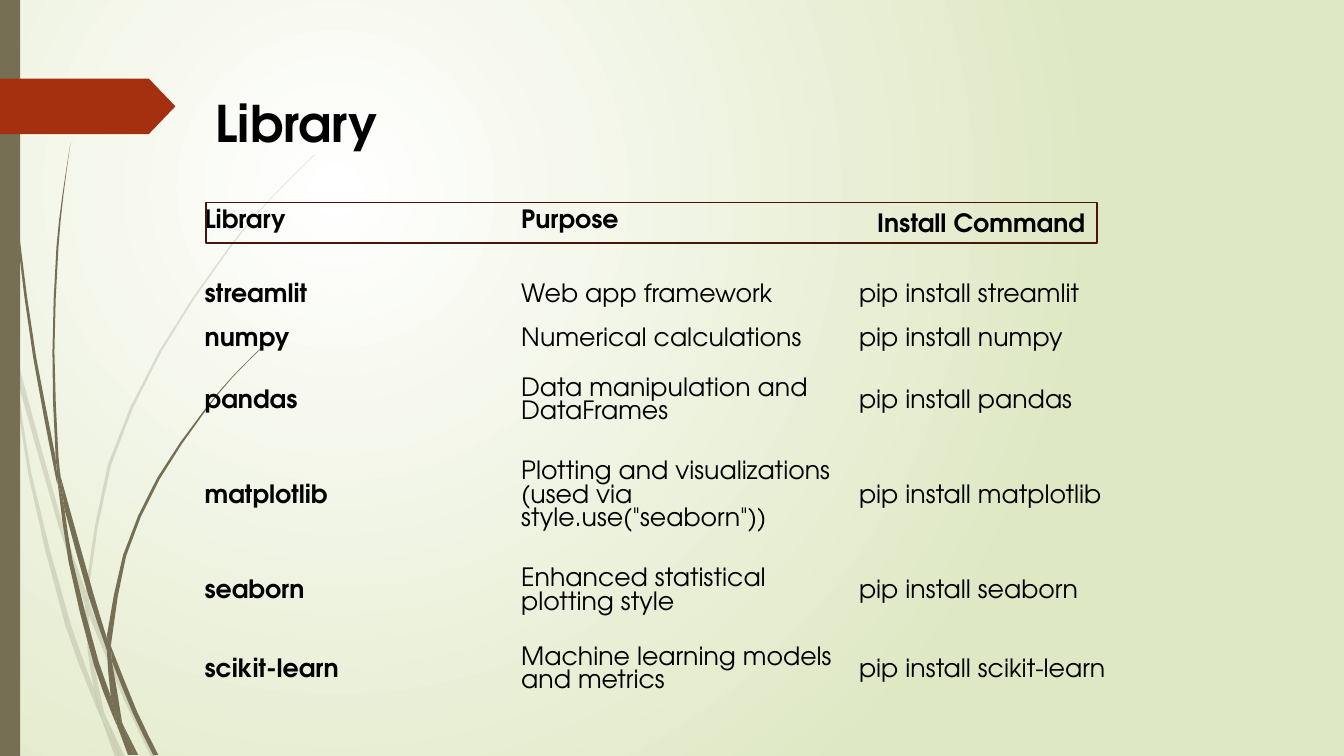
"""Build the Library slide: a table of Python packages on a grass-decorated page."""
from dataclasses import dataclass
from math import dist
from typing import Optional

from lxml.etree import SubElement
from pptx import Presentation
from pptx.dml.color import RGBColor
from pptx.enum.shapes import MSO_SHAPE as Preset
from pptx.enum.text import MSO_ANCHOR as Anchor, MSO_AUTO_SIZE as AutoSize, PP_ALIGN as Align
from pptx.oxml.ns import qn
from pptx.util import Emu, Pt

PX = 9144
FONT = "TeX Gyre Adventor"
NO_TABLE_STYLE = "{2D5ABB26-0587-4C30-8999-92F81FD0307C}"
COLORS = {"glow": "FFFFFF", "meadow": "DFE8C4", "grass": "766F54",
          "ribbon": "A53010", "frame": "481507", "text": "000000"}
Point = tuple[float, float]


@dataclass(frozen=True)
class Box:
    left: int
    top: int
    width: int
    height: int

    def emu(self) -> list[Emu]:
        return [px(n) for n in (self.left, self.top, self.width, self.height)]


@dataclass(frozen=True)
class Blade:
    right_edge: list[Point]
    left_edge: list[Point]


@dataclass(frozen=True)
class Block:
    box: Box
    preset: Preset
    fill: Optional[str] = None
    line: Optional[str] = None
    adjust: Optional[float] = None


PALE_BLADES = [
    Blade([(0, 282), (9, 322), (11, 350)], [(0, 299), (10, 344), (11, 350)]),
    Blade([(14, 345), (62, 520), (85, 586)], [(17, 376), (58, 522), (84, 599)]),
    Blade([(88, 596), (92, 607), (127, 692), (155, 751)], [(88, 610), (123, 694), (150, 751)]),
    Blade([(105, 711), (124, 751)], [(105, 711), (119, 751)]),
    Blade([(17, 376), (31, 469), (70, 619), (93, 683), (101, 714)],
          [(11, 350), (28, 470), (65, 621), (92, 693), (101, 714)]),
    Blade([(88, 610), (91, 646), (103, 706), (105, 711)],
          [(84, 599), (87, 646), (93, 683), (96, 692), (105, 711)]),
    Blade([(312, 154), (268, 198), (229, 245), (160, 349), (110, 462), (88, 584), (88, 596)],
          [(312, 153), (268, 197), (228, 244), (158, 348), (107, 461), (85, 584), (85, 586)]),
    Blade([(101, 714), (119, 751)], [(101, 714), (114, 751)]),
    Blade([(85, 586), (88, 596)], [(84, 599), (88, 610)]),
    Blade([(93, 683), (96, 692), (105, 711), (119, 751)], [(93, 683), (99, 707), (101, 714), (119, 751)]),
]
DARK_BLADES = [
    Blade([(4, 0), (5, 48), (8, 109), (19, 232), (36, 355), (55, 453), (57, 481)],
          [(3, 0), (4, 48), (7, 110), (17, 233), (33, 355), (56, 477), (57, 481)]),
    Blade([(60, 472), (93, 590), (106, 633)], [(64, 505), (88, 592), (106, 645)]),
    Blade([(110, 641), (136, 706), (157, 749)], [(111, 656), (132, 708), (152, 749)]),
    Blade([(64, 505), (72, 556), (98, 657), (110, 691), (117, 722)],
          [(57, 477), (68, 557), (93, 659), (111, 708), (117, 722)]),
    Blade([(70, 141), (63, 193), (58, 245), (54, 349), (58, 453), (60, 472)],
          [(70, 141), (62, 193), (56, 245), (52, 349), (55, 449), (60, 472)]),
    Blade([(122, 719), (137, 749)], [(122, 719), (133, 749)]),
    Blade([(55, 449), (60, 472)], [(57, 477), (64, 505)]),
    Blade([(261, 344), (231, 374), (205, 406), (158, 476), (125, 552), (111, 633), (110, 641)],
          [(260, 344), (231, 373), (204, 405), (156, 474), (122, 551), (106, 631)]),
    Blade([(117, 722), (131, 749)], [(117, 722), (127, 749)]),
    Blade([(106, 645), (111, 656), (121, 716), (122, 719)], [(106, 645), (110, 691), (116, 706), (122, 719)]),
    Blade([(106, 631), (110, 641)], [(106, 645), (111, 656)]),
    Blade([(110, 691), (116, 706), (122, 719), (133, 749)], [(110, 691), (116, 717), (117, 722), (130, 749)]),
]
STEM = Block(Box(0, 0, 20, 750), Preset.RECTANGLE, fill="grass")
RIBBON = Block(Box(0, 78, 174, 55), Preset.PENTAGON, fill="ribbon", adjust=0.48)
HEADER_FRAME = Block(Box(204, 201, 884, 40), Preset.RECTANGLE, line="frame")
TITLE_BOX = Box(204, 86, 277, 70)
COMMAND_BOX = Box(860, 201, 228, 40)
TABLE_BOX = Box(193, 193, 984, 511)
COLUMNS = [314, 335, 335]
ROWS = [78, 44, 44, 78, 111, 78, 78]
HEADINGS = ("Library", "Purpose", "")
PURPOSES = {
    "streamlit": "Web app framework",
    "numpy": "Numerical calculations",
    "pandas": "Data manipulation and DataFrames",
    "matplotlib": 'Plotting and visualizations (used via style.use("seaborn"))',
    "seaborn": "Enhanced statistical plotting style",
    "scikit-learn": "Machine learning models and metrics",
}


def px(value: float) -> Emu:
    return Emu(round(value * PX))


def color(name: str) -> RGBColor:
    return RGBColor.from_string(COLORS[name])


def add_span(para, text: str, size: int, bold: bool) -> None:
    span = para.add_run()
    span.text = text
    span.font.name, span.font.size, span.font.bold = FONT, Pt(size), bold
    span.font.color.rgb = color("text")


def paint_background(page) -> None:
    fill = page.background.fill
    fill.gradient()
    for position, (stop, name) in enumerate(zip(fill.gradient_stops, ("glow", "meadow"))):
        stop.color.rgb = color(name)
        stop.position = position
    gradient = page._element.find(".//" + qn("a:gradFill"))
    gradient.remove(gradient.find(qn("a:lin")))
    circle = SubElement(gradient, qn("a:path"), {"path": "circle"})
    SubElement(circle, qn("a:fillToRect"), dict(l="50000", t="50000", r="100000", b="100000"))


def smooth(points: list[Point]) -> list[Point]:
    padded = [points[0], *points, points[-1]]
    slopes = []
    for before, here, after in zip(padded, padded[1:], padded[2:]):
        chord = dist(before, here) + dist(here, after)
        slopes.append([(b - a) / chord for a, b in zip(before, after)])
    curve = [points[0]]
    for start, end, leave, arrive in zip(points, points[1:], slopes, slopes[1:]):
        bend = dist(start, end) / 8
        curve.append(tuple((a + b) / 2 + bend * (m - n) for a, b, m, n in zip(start, end, leave, arrive)))
        curve.append(end)
    return curve


def add_blade(page, blade: Blade, opacity: int) -> None:
    outline = smooth(blade.left_edge) + smooth(blade.right_edge)[::-1]
    corners = [(px(x), px(y)) for x, y in outline]
    builder = page.shapes.build_freeform(*corners[0], scale=1.0)
    builder.add_line_segments(corners[1:], close=True)
    shape = builder.convert_to_shape()
    paint(shape, "grass", None)
    if opacity < 100:
        tint = shape._element.spPr.find(".//" + qn("a:srgbClr"))
        SubElement(tint, qn("a:alpha"), val=str(opacity * 1000))


def paint(shape, fill: Optional[str], line: Optional[str]) -> None:
    shape.shadow.inherit = False
    for part, name in ((shape.fill, fill), (shape.line.fill, line)):
        if name:
            part.solid()
            part.fore_color.rgb = color(name)
        else:
            part.background()


def add_block(page, block: Block) -> None:
    shape = page.shapes.add_shape(block.preset, *block.box.emu())
    paint(shape, block.fill, block.line)
    if block.adjust is not None:
        shape.adjustments[0] = block.adjust
    if block.line:
        shape.line.width = Pt(1.25)


def place_title(page) -> None:
    title = page.shapes.title
    title.left, title.top, title.width, title.height = TITLE_BOX.emu()
    title.text_frame.vertical_anchor = Anchor.TOP
    title.text_frame.auto_size = AutoSize.NONE
    para = title.text_frame.paragraphs[0]
    para.alignment = Align.LEFT
    add_span(para, "Library", 36, True)
    page.shapes._spTree.append(title._element)


def add_library_table(page) -> None:
    table = page.shapes.add_table(len(ROWS), len(COLUMNS), *TABLE_BOX.emu()).table
    table.first_row = table.horz_banding = False
    table._tbl.tblPr.find(qn("a:tableStyleId")).text = NO_TABLE_STYLE
    for column, width in zip(table.columns, COLUMNS):
        column.width = px(width)
    for row, height in zip(table.rows, ROWS):
        row.height = px(height)
    libraries = [(name, purpose, f"pip install {name}") for name, purpose in PURPOSES.items()]
    for i, texts in enumerate([HEADINGS, *libraries]):
        for j, text in enumerate(texts):
            cell = table.cell(i, j)
            cell.fill.background()
            cell.vertical_anchor = Anchor.MIDDLE
            cell.margin_bottom = px(5 if i else 29)
            if text:
                para = cell.text_frame.paragraphs[0]
                para.line_spacing = Pt(16.8)
                add_span(para, text, 18, i == 0 or j == 0)


def main() -> None:
    deck = Presentation()
    deck.slide_width, deck.slide_height = px(1333), px(750)
    page = deck.slides.add_slide(deck.slide_layouts[5])
    paint_background(page)
    for blades, opacity in ((PALE_BLADES, 20), (DARK_BLADES, 100)):
        for blade in blades:
            add_blade(page, blade, opacity)
    add_block(page, STEM)
    add_block(page, RIBBON)
    place_title(page)
    add_library_table(page)
    heading = page.shapes.add_textbox(*COMMAND_BOX.emu())
    heading.text_frame.word_wrap = False
    add_span(heading.text_frame.paragraphs[0], "Install Command", 18, True)
    add_block(page, HEADER_FRAME)
    deck.save("out.pptx")


if __name__ == "__main__":
    main()
